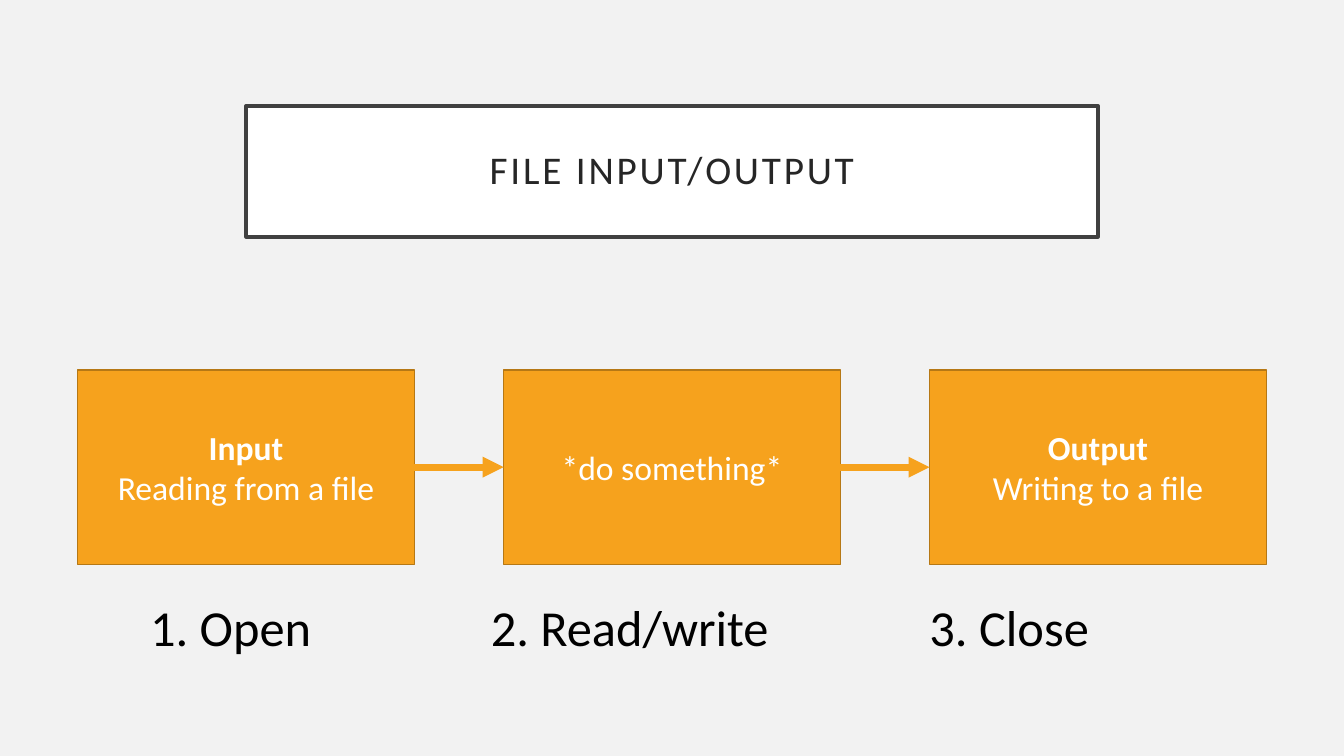
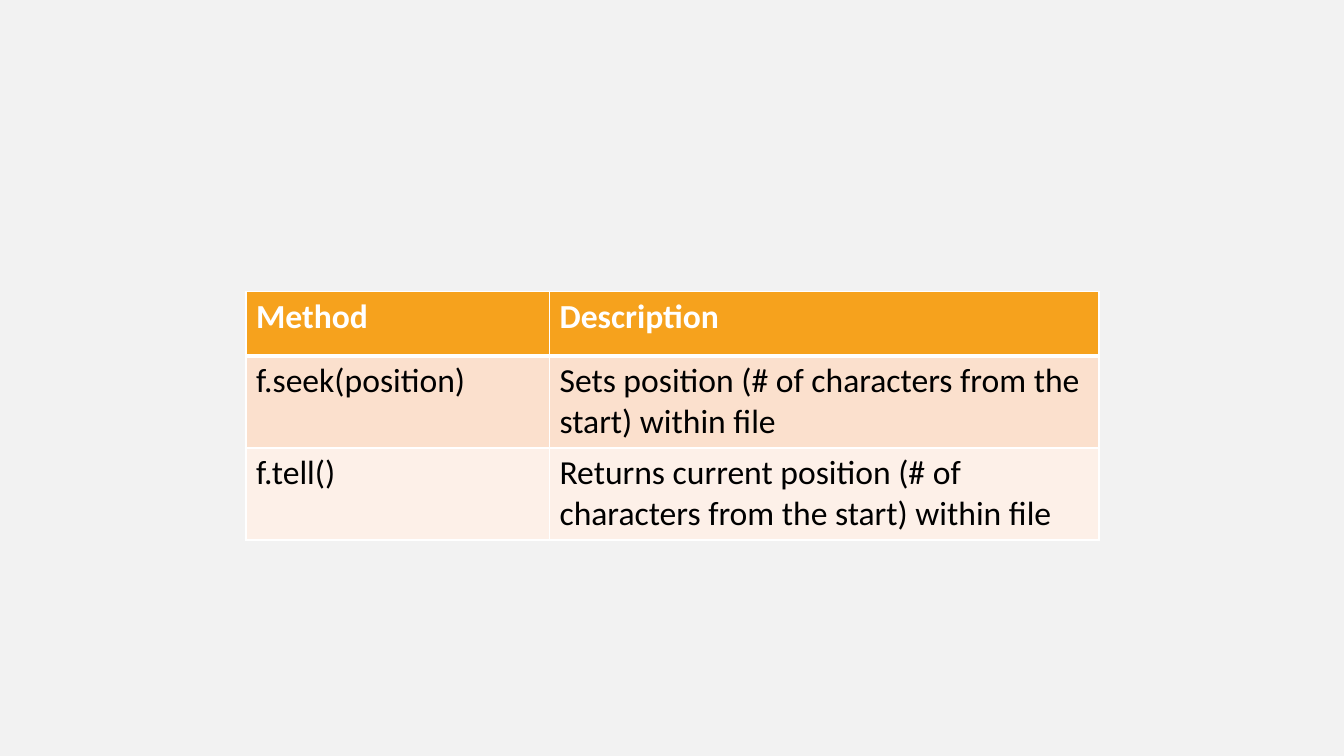
"""Build two slides on file input and output."""
from lxml.etree import SubElement
from pptx import Presentation
from pptx.dml.color import RGBColor
from pptx.enum.shapes import MSO_CONNECTOR, MSO_SHAPE
from pptx.enum.text import MSO_ANCHOR, PP_ALIGN
from pptx.oxml.ns import qn
from pptx.util import Inches, Pt

ORANGE = "F6A21D"
WHITE = "FFFFFF"
BLACK = "000000"
FONT = "Calibri"
SLIDE_WIDTH = 13.33


def rgb(value):
    return RGBColor.from_string(value)


def style(paragraph, size, color, bold=False):
    for run in paragraph.runs:
        run.font.name = FONT
        run.font.size = Pt(size)
        run.font.bold = bold
        run.font.color.rgb = rgb(color)


prs = Presentation()
prs.slide_width = Inches(SLIDE_WIDTH)
prs.slide_height = Inches(7.5)
background = prs.slide_master.background.fill
background.solid()
background.fore_color.rgb = rgb("F2F2F2")

flow_slide = prs.slides.add_slide(prs.slide_layouts[5])
title = flow_slide.shapes.title
title.left, title.top = Inches(2.44), Inches(1.05)
title.width, title.height = Inches(8.45), Inches(1.3)
title.fill.solid()
title.fill.fore_color.rgb = rgb(WHITE)
title.line.color.rgb = rgb("404040")
title.line.width = Pt(2.5)
heading = title.text_frame
heading.text = "FILE INPUT/OUTPUT"
heading.vertical_anchor = MSO_ANCHOR.MIDDLE
heading.margin_left = heading.margin_right = Inches(0.2)
heading.margin_top = heading.margin_bottom = Inches(0.2)
heading_line = heading.paragraphs[0]
heading_line.alignment = PP_ALIGN.CENTER
heading_line.line_spacing = 0.9
style(heading_line, 28, "262626")
heading_line.runs[0].font._element.set("spc", "200")

STAGES = [
    ("Input", "Reading from a file"),
    ("", "*do something*"),
    ("Output", "Writing to a file"),
]
margin, stage_width = 0.77, 3.34
pitch = (SLIDE_WIDTH - 2 * margin - stage_width) / (len(STAGES) - 1)
stages = []
for index, (name, action) in enumerate(STAGES):
    stage = flow_slide.shapes.add_shape(
        MSO_SHAPE.RECTANGLE, Inches(margin + index * pitch), Inches(3.67),
        Inches(stage_width), Inches(1.93))
    stage.shadow.inherit = False
    stage.fill.solid()
    stage.fill.fore_color.rgb = rgb(ORANGE)
    stage.line.color.rgb = rgb("B67815")
    stage.line.width = Pt(1)
    stage.text_frame.text = f"{name}\n{action}" if name else action
    stage.text_frame.vertical_anchor = MSO_ANCHOR.MIDDLE
    for paragraph in stage.text_frame.paragraphs:
        paragraph.alignment = PP_ALIGN.CENTER
        style(paragraph, 24, WHITE, bold=paragraph.text == name)
    stages.append(stage)

for source, target in zip(stages, stages[1:]):
    arrow = flow_slide.shapes.add_connector(MSO_CONNECTOR.STRAIGHT, 0, 0, 0, 0)
    arrow.begin_connect(source, 3)
    arrow.end_connect(target, 1)
    arrow.line.color.rgb = rgb(ORANGE)
    arrow.line.width = Pt(5)
    SubElement(arrow.line._get_or_add_ln(), qn("a:tailEnd"), type="triangle")
    SubElement(arrow._element.spPr, qn("a:effectLst"))

steps = flow_slide.shapes.add_textbox(
    Inches(1.39), Inches(5.86), Inches(10.35), Inches(0.71)).text_frame
steps.word_wrap = True
steps.text = "1. Open\t2. Read/write\t3. Close"
step_line = steps.paragraphs[0]
style(step_line, 36, BLACK)
tab_stops = SubElement(step_line._p.get_or_add_pPr(), qn("a:tabLst"))
for position in (3.38, 7.73):
    SubElement(tab_stops, qn("a:tab"), pos=str(Inches(position)), algn="l")

ROWS = [
    ("Method", "Description"),
    ("f.seek(position)",
     "Sets position (# of characters from the start) within file"),
    ("f.tell()",
     "Returns current position (# of characters from the start) within file"),
]
ROW_FILLS = [ORANGE, "FBE0CD", "FDF0E8"]
ROW_HEIGHTS = [0.64, 0.91, 0.91]
COLUMN_WIDTHS = [3.01, 5.45]
method_slide = prs.slides.add_slide(prs.slide_layouts[6])
methods = method_slide.shapes.add_table(
    len(ROWS), len(COLUMN_WIDTHS), Inches(2.44), Inches(2.89),
    Inches(sum(COLUMN_WIDTHS)), Inches(sum(ROW_HEIGHTS))).table
for column, width in zip(methods.columns, COLUMN_WIDTHS):
    column.width = Inches(width)
for row_index, texts in enumerate(ROWS):
    is_header = row_index == 0
    methods.rows[row_index].height = Inches(ROW_HEIGHTS[row_index])
    for column_index, text in enumerate(texts):
        cell = methods.cell(row_index, column_index)
        cell.text_frame.text = text
        style(cell.text_frame.paragraphs[0], 24,
              WHITE if is_header else BLACK, bold=is_header)
        properties = cell._tc.get_or_add_tcPr()
        for side in ("lnL", "lnR", "lnT", "lnB"):
            under_header = (row_index, side) in ((0, "lnB"), (1, "lnT"))
            border = SubElement(properties, qn(f"a:{side}"),
                                w=str(Pt(3 if under_header else 1)))
            border_fill = SubElement(border, qn("a:solidFill"))
            SubElement(border_fill, qn("a:srgbClr"), val=WHITE)
        cell.fill.solid()
        cell.fill.fore_color.rgb = rgb(ROW_FILLS[row_index])

prs.save("out.pptx")
